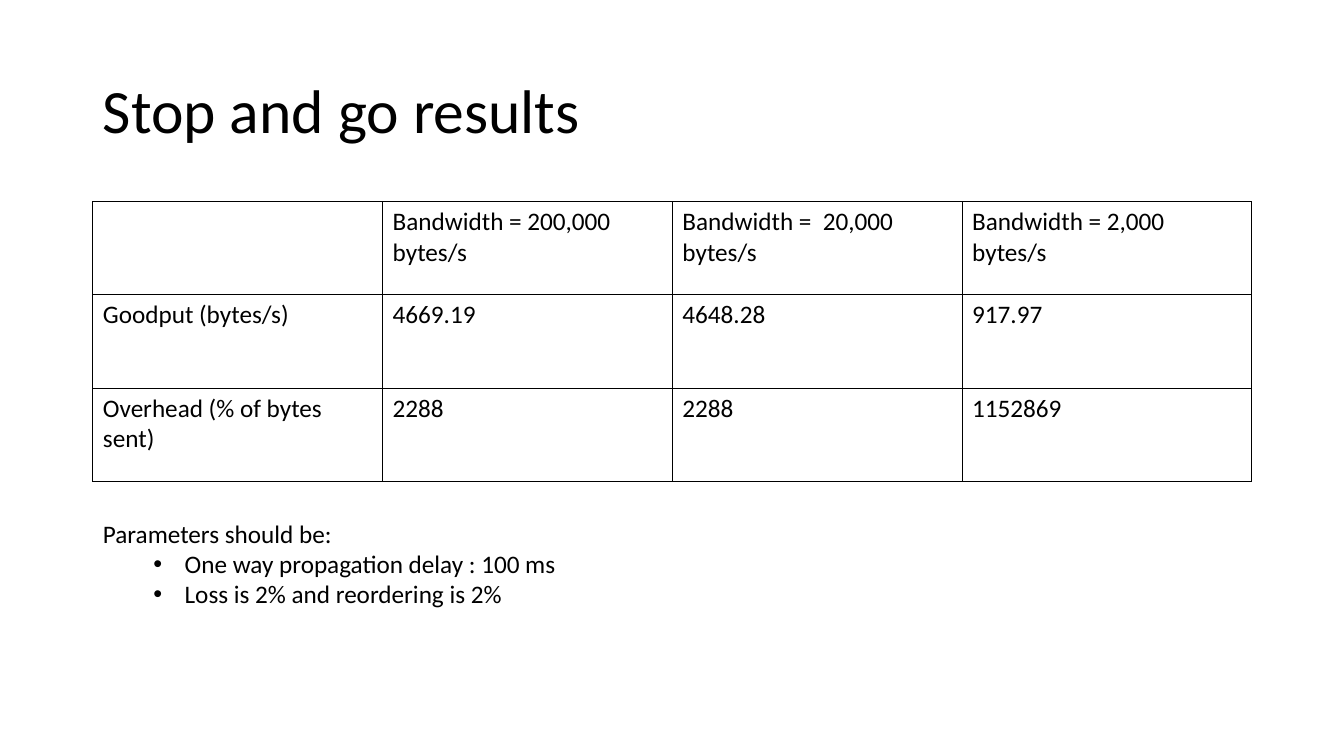
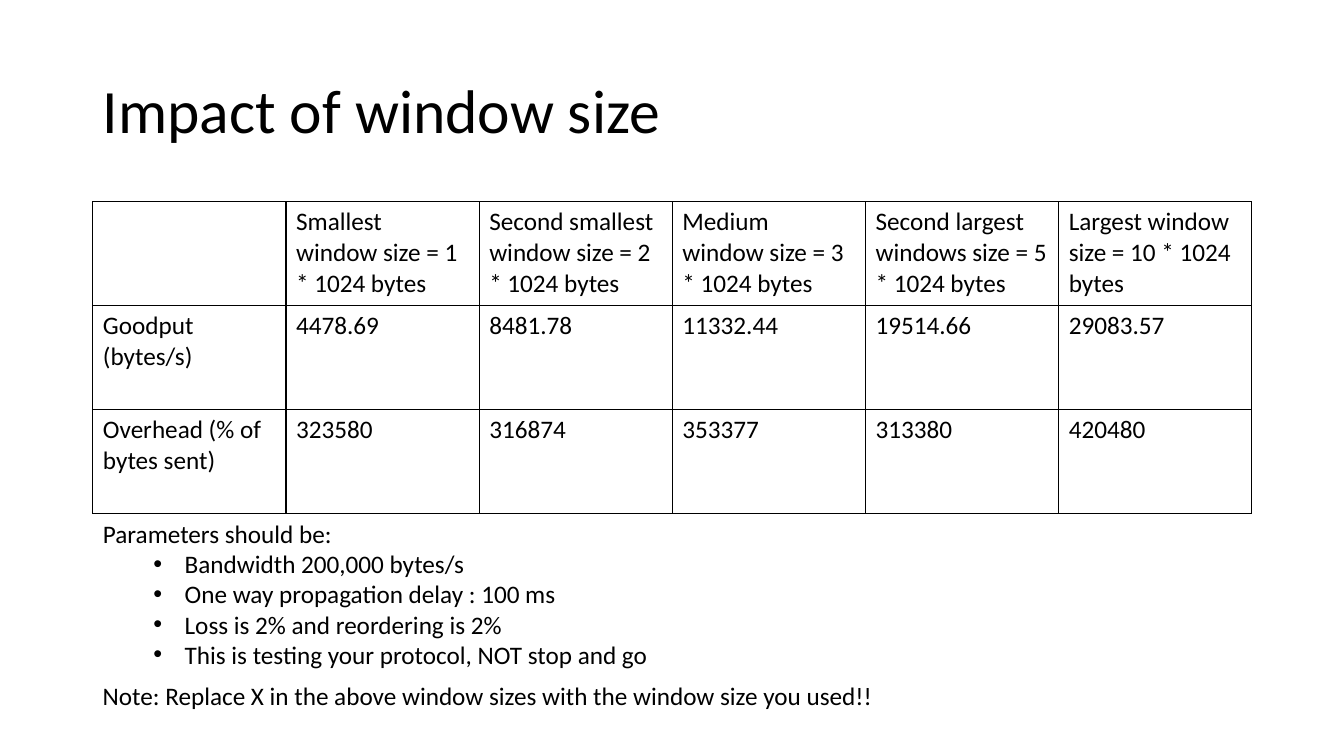
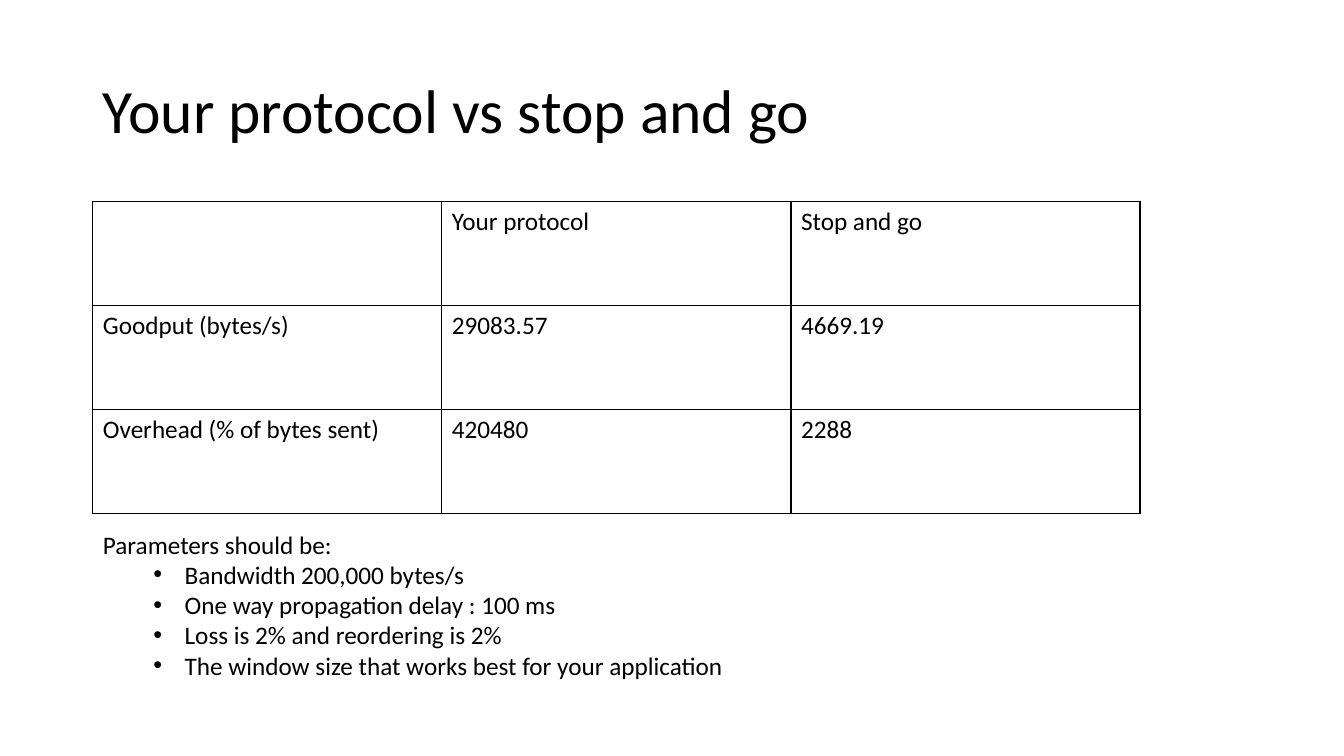
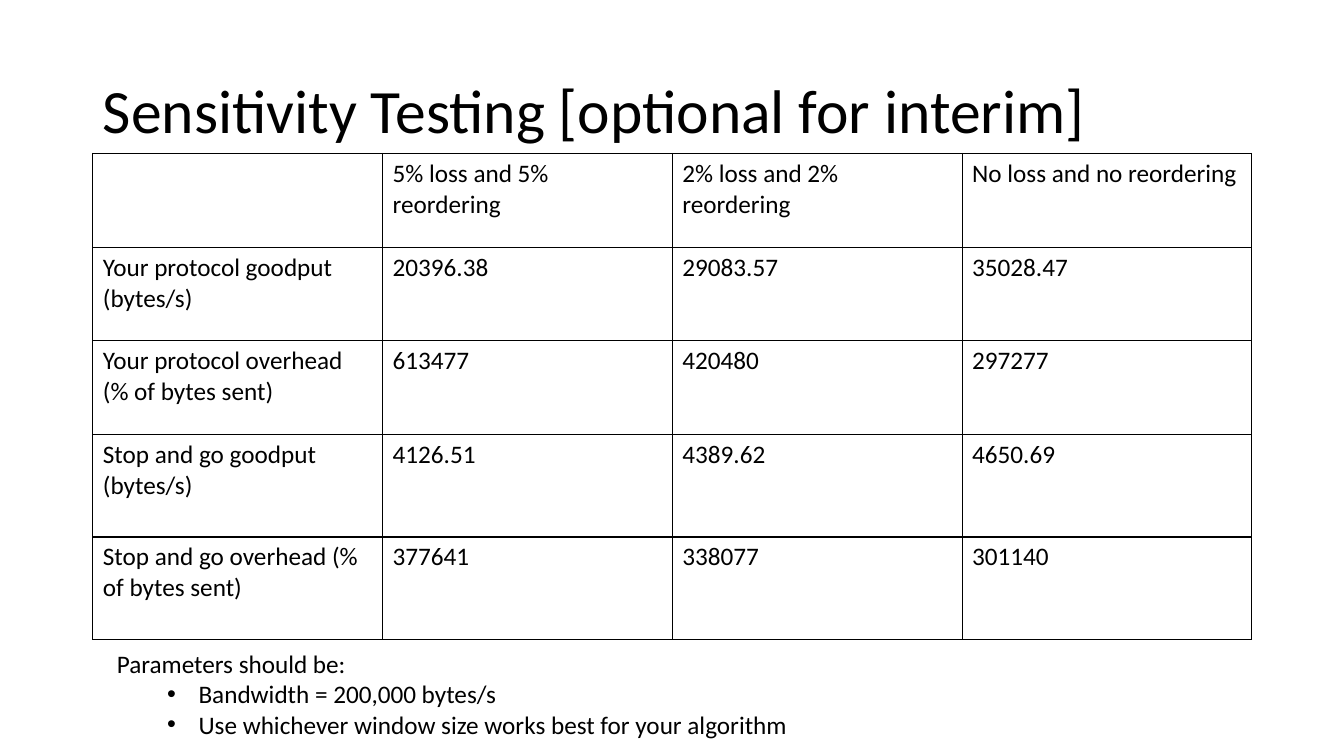
"""Build four slides of protocol test results, each a table with its parameters."""
from lxml.etree import SubElement
from pptx import Presentation
from pptx.dml.color import RGBColor
from pptx.enum.text import MSO_ANCHOR, MSO_AUTO_SIZE, PP_ALIGN
from pptx.oxml.ns import qn
from pptx.util import Cm, Pt

COLORS = {"text": "000000", "border": "000000", "background": "FFFFFF"}
FONT = "Calibri"
LEFT = 2.34
FULL_WIDTH = 29.21

RESULTS = [
    {
        "title": "Stop and go results",
        "table_top": 5.08,
        "table_width": FULL_WIDTH,
        "row_heights": [2.35] * 3,
        "rows": [
            ["", "Bandwidth = 200,000 bytes/s", "Bandwidth =  20,000 bytes/s", "Bandwidth = 2,000 bytes/s"],
            ["Goodput (bytes/s)", "4669.19", "4648.28", "917.97"],
            ["Overhead (% of bytes sent)", "2288", "2288", "1152869"],
        ],
        "parameters_box": (LEFT, 12.93, 12.2, 3.33),
        "parameters": ["One way propagation delay : 100 ms", "Loss is 2% and reordering is 2%"],
    },
    {
        "title": "Impact of window size",
        "table_top": 5.08,
        "table_width": FULL_WIDTH,
        "row_heights": [2.62] * 3,
        "rows": [
            ["", "Smallest window size = 1 * 1024 bytes", "Second smallest window size = 2 * 1024 bytes",
             "Medium window size = 3 * 1024 bytes", "Second largest windows size = 5 * 1024 bytes",
             "Largest window size = 10 * 1024 bytes"],
            ["Goodput (bytes/s)", "4478.69", "8481.78", "11332.44", "19514.66", "29083.57"],
            ["Overhead (% of bytes sent)", "323580", "316874", "353377", "313380", "420480"],
        ],
        "parameters_box": (LEFT, 12.93, 14.5, 4.88),
        "parameters": ["Bandwidth 200,000 bytes/s", "One way propagation delay : 100 ms",
                       "Loss is 2% and reordering is 2%", "This is testing your protocol, NOT stop and go"],
        "note": "Note: Replace X in the above window sizes with the window size you used!!",
    },
    {
        "title": "Your protocol vs stop and go",
        "table_top": 5.08,
        "table_width": 26.39,
        "row_heights": [2.62] * 3,
        "rows": [
            ["", "Your protocol", "Stop and go"],
            ["Goodput (bytes/s)", "29083.57", "4669.19"],
            ["Overhead (% of bytes sent)", "420480", "2288"],
        ],
        "parameters_box": (LEFT, 13.2, 16.4, 4.88),
        "parameters": ["Bandwidth 200,000 bytes/s", "One way propagation delay : 100 ms",
                       "Loss is 2% and reordering is 2%",
                       "The window size that works best for your application"],
    },
    {
        "title": "Sensitivity Testing [optional for interim]",
        "table_top": 3.87,
        "table_width": FULL_WIDTH,
        "row_heights": [2.36] * 3 + [2.58] * 2,
        "rows": [
            ["", "5% loss and 5% reordering", "2% loss and 2% reordering", "No loss and no reordering"],
            ["Your protocol goodput (bytes/s)", "20396.38", "29083.57", "35028.47"],
            ["Your protocol overhead (% of bytes sent)", "613477", "420480", "297277"],
            ["Stop and go goodput (bytes/s)", "4126.51", "4389.62", "4650.69"],
            ["Stop and go overhead (% of bytes sent)", "377641", "338077", "301140"],
        ],
        "parameters_box": (2.69, 16.21, 17.68, 2.57),
        "parameters": ["Bandwidth = 200,000 bytes/s", "Use whichever window size works best for your algorithm"],
    },
]


def write(paragraph, text, size=18, line_spacing=1.0, bullet=None):
    """Fill a paragraph with formatted text, as a bullet point if a mark is given."""
    paragraph.alignment = PP_ALIGN.LEFT
    paragraph.line_spacing = line_spacing
    paragraph.space_before = Pt(0)
    paragraph.level = 1 if bullet else 0
    properties = paragraph._p.get_or_add_pPr()
    properties.set("marL", str(Cm(2.06) if bullet else 0))
    properties.set("indent", str(Cm(-0.79) if bullet else 0))
    if bullet:
        SubElement(properties, qn("a:buFont"), typeface="Arial")
        SubElement(properties, qn("a:buChar"), char=bullet)
    else:
        SubElement(properties, qn("a:buNone"))
    run = paragraph.add_run()
    run.text = text
    run.font.name = FONT
    run.font.size = Pt(size)
    run.font.color.rgb = RGBColor.from_string(COLORS["text"])


def draw_borders(cell):
    """Give a table cell a thin line on all four sides."""
    properties = cell._tc.get_or_add_tcPr()
    for side in ("a:lnL", "a:lnR", "a:lnT", "a:lnB"):
        line = SubElement(properties, qn(side), w=str(Pt(1)))
        SubElement(SubElement(line, qn("a:solidFill")), qn("a:srgbClr"), val=COLORS["border"])


deck = Presentation()
deck.slide_width, deck.slide_height = Cm(33.87), Cm(19.05)
background = deck.slide_master.background.fill
background.solid()
background.fore_color.rgb = RGBColor.from_string(COLORS["background"])

for result in RESULTS:
    slide = deck.slides.add_slide(deck.slide_layouts[1])
    title, parameters = slide.placeholders

    title.left, title.top, title.width, title.height = Cm(LEFT), Cm(1.02), Cm(FULL_WIDTH), Cm(3.68)
    title.text_frame.vertical_anchor = MSO_ANCHOR.MIDDLE
    title.text_frame.auto_size = MSO_AUTO_SIZE.NONE
    write(title.text_frame.paragraphs[0], result["title"], size=44, line_spacing=0.9)

    parameters.left, parameters.top, parameters.width, parameters.height = map(Cm, result["parameters_box"])
    parameters.text_frame.auto_size = MSO_AUTO_SIZE.NONE
    write(parameters.text_frame.paragraphs[0], "Parameters should be:")
    for parameter in result["parameters"]:
        write(parameters.text_frame.add_paragraph(), parameter, bullet="•")

    rows, row_heights = result["rows"], result["row_heights"]
    measurements = slide.shapes.add_table(
        len(rows), len(rows[0]), Cm(LEFT), Cm(result["table_top"]),
        Cm(result["table_width"]), Cm(sum(row_heights))).table
    measurements.first_row = measurements.horz_banding = False
    for row, height, values in zip(measurements.rows, row_heights, rows):
        row.height = Cm(height)
        for cell, value in zip(row.cells, values):
            draw_borders(cell)
            cell.fill.background()
            if value:
                write(cell.text_frame.paragraphs[0], value)

    if "note" in result:
        note = slide.shapes.add_textbox(Cm(LEFT), Cm(17.02), Cm(20.5), Cm(1.02))
        note.text_frame.word_wrap = True
        write(note.text_frame.paragraphs[0], result["note"])

deck.save("out.pptx")
